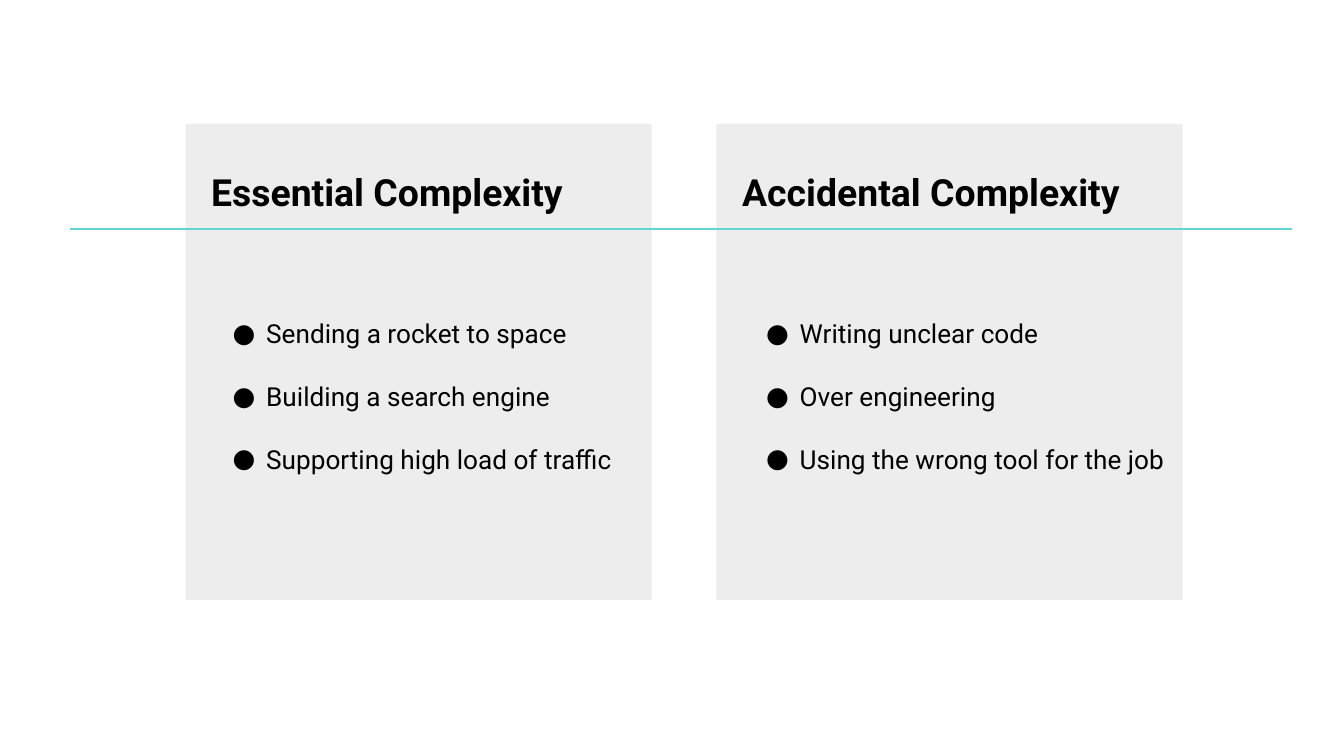
"""Build a slide comparing essential and accidental complexity in two panels."""
import pptx
import pptx.dml.color
import pptx.enum.shapes
import pptx.enum.text
import pptx.oxml.ns
import pptx.util
import lxml.etree

Pt = pptx.util.Pt
qn = pptx.oxml.ns.qn


def color(value):
    return pptx.dml.color.RGBColor.from_string(value)


def write(sp, box, lines, size, bold, indent, hanging, bullet, spacing):
    sp.left, sp.top, sp.width, sp.height = [Pt(v) for v in box]
    tf = sp.text_frame
    tf.text = "\n".join(lines)
    tf.word_wrap = True
    tf.auto_size = pptx.enum.text.MSO_AUTO_SIZE.NONE
    tf.vertical_anchor = pptx.enum.text.MSO_ANCHOR.TOP
    tf.margin_left = tf.margin_top = tf.margin_right = tf.margin_bottom = Pt(7.2)
    for p in tf.paragraphs:
        pPr = p._p.get_or_add_pPr()
        pPr.set("marL", str(Pt(indent)))
        pPr.set("indent", str(Pt(hanging)))
        if bullet:
            lxml.etree.SubElement(pPr, qn("a:buFont"), typeface="Roboto")
            lxml.etree.SubElement(pPr, qn("a:buChar"), char=bullet)
        else:
            lxml.etree.SubElement(pPr, qn("a:buNone"))
        p.line_spacing = spacing
        p.space_before = Pt(0)
        for r in p.runs:
            r.font.name = "Roboto"
            r.font.size = Pt(size)
            r.font.bold = bold
            r.font.color.rgb = color("000000")


prs = pptx.Presentation()
prs.slide_width, prs.slide_height = Pt(720), Pt(405)
s = prs.slides.add_slide(prs.slide_layouts.get_by_name("Comparison"))
s.background.fill.solid()
s.background.fill.fore_color.rgb = color("FFFFFF")
title, *slots = s.placeholders
title._element.getparent().remove(title._element)

panels = [
    (99.4, 99.4, "Essential Complexity",
     ["Sending a rocket to space", "Building a search engine", "Supporting high load of traffic"]),
    (383.8, 385.2, "Accidental Complexity",
     ["Writing unclear code", "Over engineering", "Using the wrong tool for the job"]),
]
for i, (left, list_left, heading, items) in enumerate(panels):
    sp = s.shapes.add_shape(pptx.enum.shapes.MSO_SHAPE.RECTANGLE, Pt(left), Pt(66.4), Pt(249.8), Pt(255))
    sp.shadow.inherit = False
    sp.fill.solid()
    sp.fill.fore_color.rgb = color("EDEDED")
    sp.line.fill.background()
    s.shapes._spTree.insert(2, sp._element)
    write(slots[2 * i], (left - 11.5, 83.5, 260.6, 38.9), [heading], 20, True, 18, 0, None, 1.0)
    write(slots[2 * i + 1], (list_left, 146.2, 249.8, 134.6), items, 14, False, 36, -18, "●", 2.0)

rule = s.shapes.add_connector(pptx.enum.shapes.MSO_CONNECTOR.STRAIGHT, Pt(37.5), Pt(122.6), Pt(692), Pt(122.6))
rule.line.color.rgb = color("64D4D2")
rule.line.width = Pt(0.75)
lxml.etree.SubElement(rule._element.spPr, qn("a:effectLst"))

prs.save("out.pptx")
